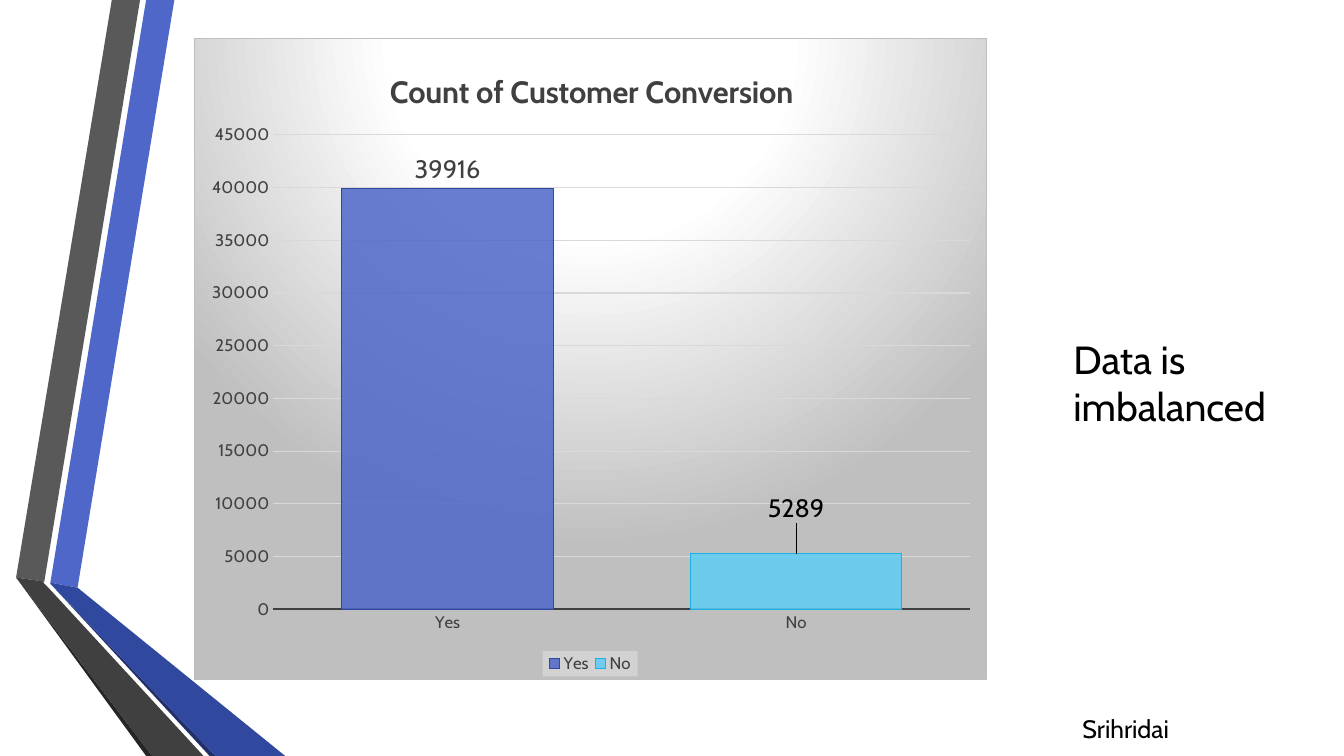
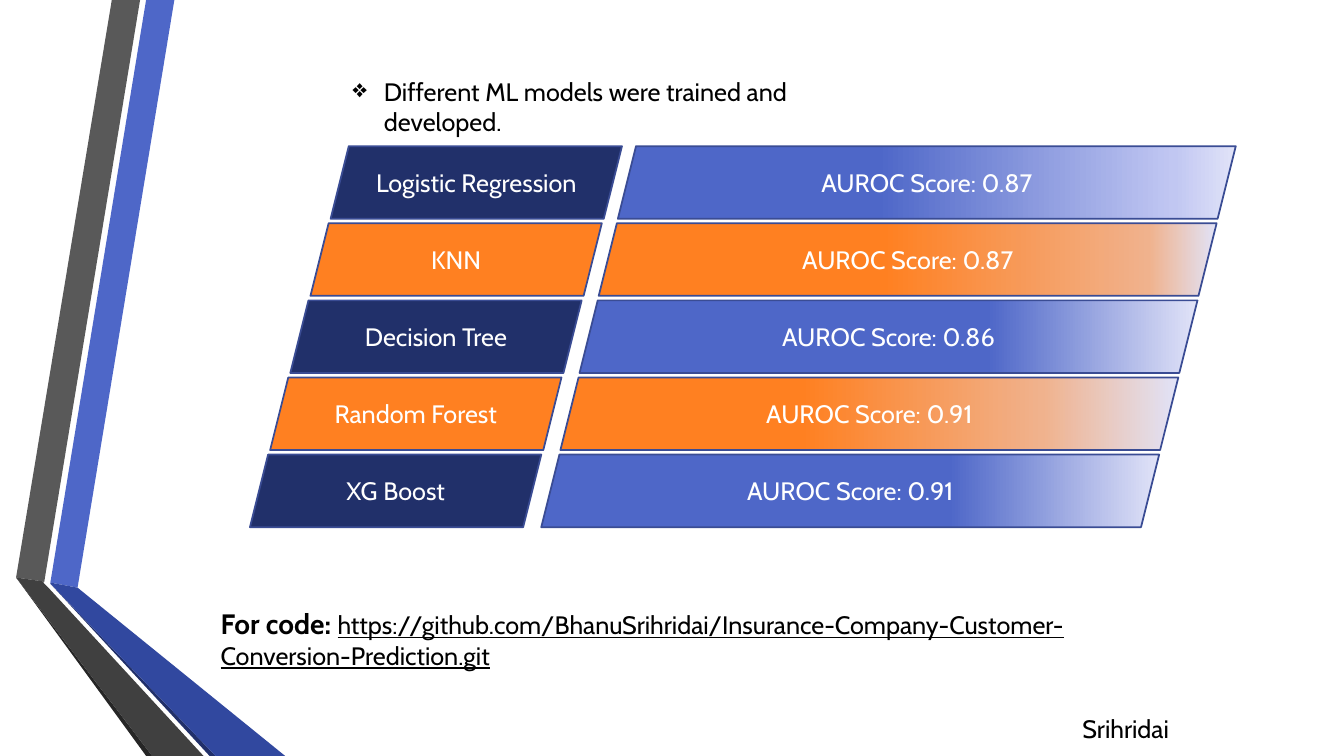
from dataclasses import dataclass

from lxml import etree
from pptx import Presentation
from pptx import util as u
from pptx.chart.data import CategoryChartData
from pptx.dml.color import RGBColor
from pptx.enum import chart as charts, shapes, text
from pptx.oxml import parse_xml
from pptx.oxml.ns import nsdecls, qn

CELL = u.Inches(0.1)
COLUMNS, ROWS = 133.33, 75
FONT = "Cabin"

BLACK = RGBColor(0x00, 0x00, 0x00)
WHITE = RGBColor(0xFF, 0xFF, 0xFF)
BLUE = RGBColor(0x4E, 0x67, 0xC8)
DEEP_BLUE = RGBColor(0x31, 0x48, 0x9F)
NAVY = RGBColor(0x21, 0x30, 0x6A)
OUTLINE = RGBColor(0x3A, 0x4C, 0x94)
SKY = RGBColor(0x5E, 0xCC, 0xF3)
DEEP_SKY = RGBColor(0x1A, 0xB3, 0xE8)
ORANGE = RGBColor(0xFF, 0x80, 0x21)
PEACH = RGBColor(0xF0, 0xB2, 0x8D)
LILAC = RGBColor(0xC1, 0xC7, 0xF2)
PALE = RGBColor(0xE1, 0xE3, 0xF8)
INK = RGBColor(0x40, 0x40, 0x40)
GREY = RGBColor(0x59, 0x59, 0x59)
SHADE = RGBColor(0x26, 0x26, 0x26)
SILVER = RGBColor(0xBF, 0xBF, 0xBF)
GRID_GREY = RGBColor(0xD9, 0xD9, 0xD9)
MIST = RGBColor(0xF2, 0xF2, 0xF2)

Stops = tuple[tuple[int, RGBColor], ...]


@dataclass(frozen=True)
class Area:
    column: float
    row: float
    columns: float
    rows: float

    def lengths(self) -> list[int]:
        return [cells(n) for n in (self.column, self.row, self.columns, self.rows)]


@dataclass(frozen=True)
class Band:
    color: RGBColor
    points: tuple[tuple[float, float], ...]


@dataclass(frozen=True)
class Span:
    words: str
    size: int = 18
    color: RGBColor = BLACK
    bold: bool = False
    underline: bool = False


@dataclass(frozen=True)
class Model:
    name: str
    score: str
    color: RGBColor
    stops: Stops


@dataclass(frozen=True)
class Bar:
    name: str
    count: int
    fill: RGBColor
    edge: RGBColor
    label: RGBColor
    lift: float


BANDS = (
    Band(BLUE, ((5, 57.8), (7.7, 58.3), (17.3, 0), (14.5, 0))),
    Band(GREY, ((13.9, 0), (11.1, 0), (1.6, 57.3), (4.4, 57.7))),
    Band(SHADE, ((1.6, 57.3), (14.5, 75), (15.1, 75))),
    Band(NAVY, ((5, 57.9), (20.8, 75), (21.4, 75))),
    Band(DEEP_BLUE, ((5, 57.9), (21.4, 75), (28.3, 75), (7.7, 58.3), (5, 57.8))),
    Band(INK, ((20.2, 75), (4.8, 58.3), (4.3, 57.8), (4.4, 57.7), (1.6, 57.3), (15.1, 75))),
)

BARS = (
    Bar("Yes", 39916, BLUE, DEEP_BLUE, INK, 0),
    Bar("No", 5289, SKY, DEEP_SKY, BLACK, -0.04),
)

LATE_BLUE = ((17, BLUE), (66, BLUE), (100, PALE))
MODELS = (
    Model("Logistic Regression", "0.87", NAVY, ((42, BLUE), (90, LILAC), (100, PALE))),
    Model("KNN", "0.87", ORANGE, ((46, ORANGE), (89, PEACH), (100, PALE))),
    Model("Decision Tree", "0.86", NAVY, LATE_BLUE),
    Model("Random Forest", "0.91", ORANGE, ((39, ORANGE), (78, PEACH), (100, PALE))),
    Model("XG Boost", "0.91", NAVY, LATE_BLUE),
)


def cells(count: float) -> int:
    return round(count * CELL)


def gradient(stops: Stops, direction: str):
    marks = "".join(
        f'<a:gs pos="{place * 1000}"><a:srgbClr val="{color}"/></a:gs>' for place, color in stops
    )
    return parse_xml(
        f'<a:gradFill {nsdecls("a")} rotWithShape="1"><a:gsLst>{marks}</a:gsLst>{direction}</a:gradFill>'
    )


def manual_layout(x: float, y: float, size: tuple[float, float] | None = None,
                  offset: bool = False, inner: bool = False):
    parts = [("layoutTarget", "inner")] if inner else []
    if not offset:
        parts += [("xMode", "edge"), ("yMode", "edge")]
    parts += [("x", x), ("y", y)]
    if size:
        parts += [("w", size[0]), ("h", size[1])]
    body = "".join(f'<c:{tag} val="{value}"/>' for tag, value in parts)
    return parse_xml(
        f'<c:layout {nsdecls("c")}><c:manualLayout>{body}</c:manualLayout></c:layout>'
    )


def set_layout(parent, index: int, layout) -> None:
    for old in parent.findall(qn("c:layout")):
        parent.remove(old)
    parent.insert(index, layout)


def set_font(font, size: int, color: RGBColor, bold: bool = False) -> None:
    font.name = FONT
    font.size = u.Pt(size)
    font.bold = bold
    font.color.rgb = color


def add_spans(para, spans: tuple[Span, ...]) -> None:
    for span in spans:
        run = para.add_run()
        run.text = span.words
        set_font(run.font, span.size, span.color, span.bold)
        run.font.underline = span.underline


def add_text(page, area: Area, *spans: Span, bullet: str = "") -> None:
    frame = page.shapes.add_textbox(*area.lengths()).text_frame
    frame.word_wrap = True
    frame.auto_size = text.MSO_AUTO_SIZE.SHAPE_TO_FIT_TEXT
    para = frame.paragraphs[0]
    if bullet:
        properties = para._p.get_or_add_pPr()
        properties.set("marL", str(cells(3.1)))
        properties.set("indent", str(-cells(3.1)))
        etree.SubElement(properties, qn("a:buChar")).set("char", bullet)
    add_spans(para, spans)


def add_page(deck):
    page = deck.slides.add_slide(deck.slide_layouts[6])
    for band in BANDS:
        start, *rest = [(cells(x), cells(y)) for x, y in band.points]
        builder = page.shapes.build_freeform(*start)
        builder.add_line_segments(rest, close=True)
        shape = builder.convert_to_shape()
        shape.shadow.inherit = False
        shape.fill.solid()
        shape.fill.fore_color.rgb = band.color
        shape.line.fill.background()
    add_text(page, Area(106.4, 70.3, 15.6, 4), Span("Srihridai"))
    return page


def add_slanted(page, area: Area, words: str, fill: RGBColor | Stops) -> None:
    box = page.shapes.add_shape(shapes.MSO_SHAPE.PARALLELOGRAM, *area.lengths())
    box.shadow.inherit = False
    if isinstance(fill, RGBColor):
        box.fill.solid()
        box.fill.fore_color.rgb = fill
    else:
        box.fill.background()
        properties = box._element.spPr
        blend = gradient(fill, '<a:lin ang="0" scaled="1"/>')
        properties.replace(properties.find(qn("a:noFill")), blend)
    box.line.color.rgb = OUTLINE
    box.line.width = u.Pt(1.25)
    frame = box.text_frame
    frame.word_wrap = True
    frame.vertical_anchor = text.MSO_ANCHOR.MIDDLE
    para = frame.paragraphs[0]
    para.alignment = text.PP_ALIGN.CENTER
    add_spans(para, (Span(words, color=WHITE),))


def style_axes(chart) -> None:
    for axis in (chart.category_axis, chart.value_axis):
        axis.major_tick_mark = charts.XL_TICK_MARK.NONE
        axis.minor_tick_mark = charts.XL_TICK_MARK.NONE
        set_font(axis.tick_labels.font, 12, INK)
    base = chart.category_axis.format.line
    base.color.rgb = INK
    base.width = u.Pt(1.5)
    values = chart.value_axis
    values.minimum_scale, values.maximum_scale, values.major_unit = 0, 45000, 5000
    values.format.line.fill.background()
    values.major_gridlines.format.line.color.rgb = GRID_GREY
    values.major_gridlines.format.line.width = u.Pt(0.75)


def style_bars(plot) -> None:
    plot.gap_width = 65
    plot.vary_by_categories = True
    for index, bar in enumerate(BARS):
        point = plot.series[0].points[index]
        point.format.fill.solid()
        point.format.fill.fore_color.rgb = bar.fill
        point.format.line.color.rgb = bar.edge
        point.format.line.width = u.Pt(0.75)
        label = point.data_label
        set_font(label.font, 18, bar.label)
        label.position = charts.XL_LABEL_POSITION.OUTSIDE_END
        if bar.lift:
            set_layout(label._get_or_add_dLbl(), 1, manual_layout(0, bar.lift, offset=True))
    for color in plot._element.iterfind(f".//{qn('c:dPt')}/{qn('c:spPr')}/{qn('a:solidFill')}/*"):
        etree.SubElement(color, qn("a:alpha")).set("val", "85000")


def style_backdrop(chart) -> None:
    backdrop = parse_xml(
        f'<c:spPr {nsdecls("c", "a")}><a:ln w="9525"><a:solidFill>'
        f'<a:srgbClr val="{SILVER}"/></a:solidFill></a:ln></c:spPr>'
    )
    circle = (
        '<a:path path="circle"><a:fillToRect l="50000" t="-80000" r="50000" b="180000"/></a:path>'
    )
    backdrop.insert(0, gradient(((0, WHITE), (39, WHITE), (100, SILVER)), circle))
    chart._chartSpace.find(qn("c:chart")).addnext(backdrop)


def style_legend(chart) -> None:
    chart.has_legend = True
    legend = chart.legend
    legend.position = charts.XL_LEGEND_POSITION.BOTTOM
    legend.include_in_layout = False
    set_font(legend.font, 12, INK)
    set_layout(legend._element, 1, manual_layout(0.44, 0.96, (0.12, 0.04)))
    panel = parse_xml(
        f'<c:spPr {nsdecls("c", "a")}><a:solidFill><a:srgbClr val="{MIST}">'
        '<a:alpha val="39000"/></a:srgbClr></a:solidFill></c:spPr>'
    )
    legend._element.find(qn("c:overlay")).addnext(panel)


def add_conversion_chart(page) -> None:
    data = CategoryChartData()
    data.categories = [bar.name for bar in BARS]
    data.add_series("Series 1", [bar.count for bar in BARS])
    area = Area(19.2, 3.8, 78.7, 63.7)
    chart = page.shapes.add_chart(
        charts.XL_CHART_TYPE.COLUMN_CLUSTERED, *area.lengths(), data
    ).chart
    set_font(chart.font, 10, BLACK)
    chart.has_title = True
    title = chart.chart_title
    add_spans(title.text_frame.paragraphs[0],
              (Span("Count of Customer Conversion", 22, INK, bold=True),))
    set_layout(title._element, 1, manual_layout(0.24, 0.04))
    plot_area = chart._chartSpace.find(f".//{qn('c:plotArea')}")
    set_layout(plot_area, 0, manual_layout(0.1, 0.15, (0.88, 0.74), inner=True))
    style_axes(chart)
    style_bars(chart.plots[0])
    style_legend(chart)
    style_backdrop(chart)


def add_models(page) -> None:
    for index, model in enumerate(MODELS):
        row = 14.5 + 7.65 * index
        add_slanted(page, Area(32.8 - 2 * index, row, 28.9, 7.2), model.name, model.color)
        add_slanted(page, Area(61.3 - 1.9 * index, row, 61.3, 7.2),
                    f"AUROC Score: {model.score}", model.stops)


def main() -> None:
    deck = Presentation()
    deck.slide_width, deck.slide_height = cells(COLUMNS), cells(ROWS)

    balance = add_page(deck)
    add_conversion_chart(balance)
    add_text(balance, Area(105.5, 32.8, 22.9, 10.4), Span("Data is imbalanced", 28))

    scores = add_page(deck)
    add_text(scores, Area(34, 7.1, 56.7, 4),
             Span("Different ML models were trained and developed."), bullet="❖")
    add_models(scores)
    address = "https://github.com/BhanuSrihridai/Insurance-Company-Customer-Conversion-Prediction.git"
    add_text(scores, Area(20.9, 59.7, 96, 7.4),
             Span("For code: ", 20, bold=True), Span(address, underline=True))

    deck.save("out.pptx")


if __name__ == "__main__":
    main()
